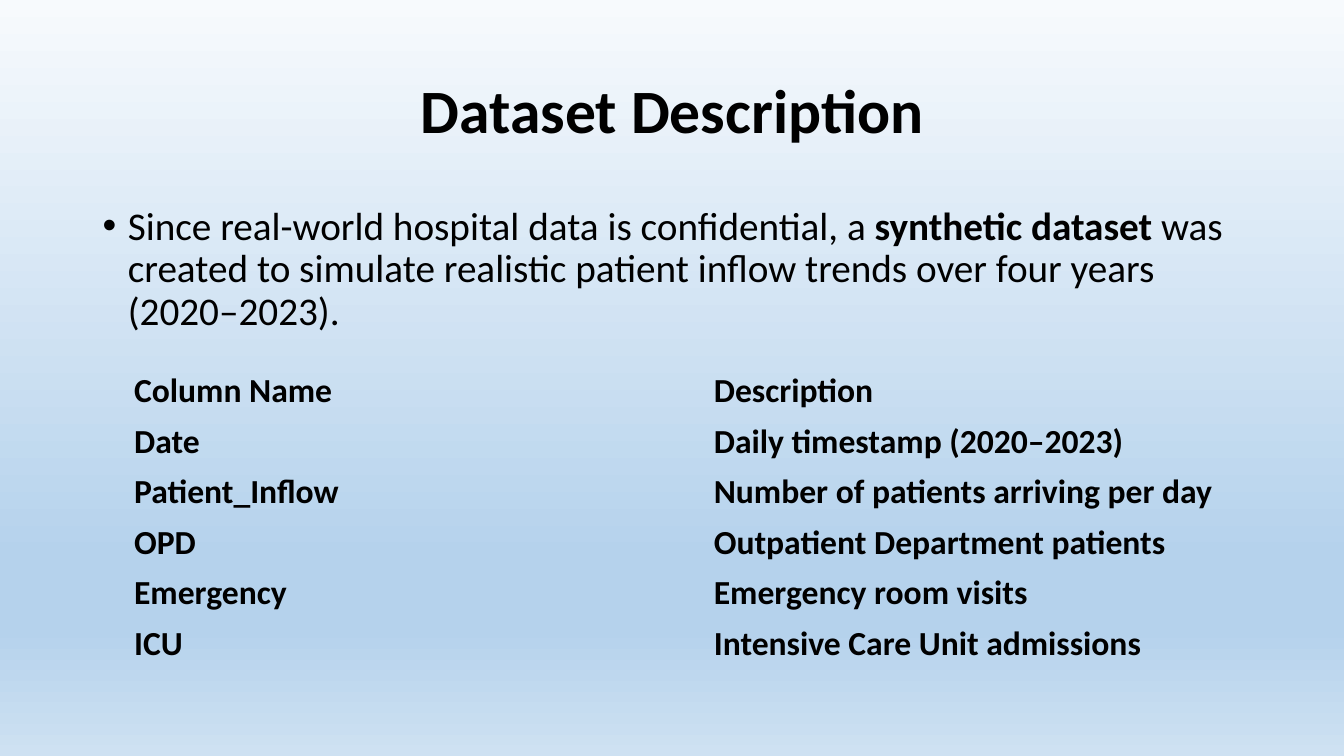
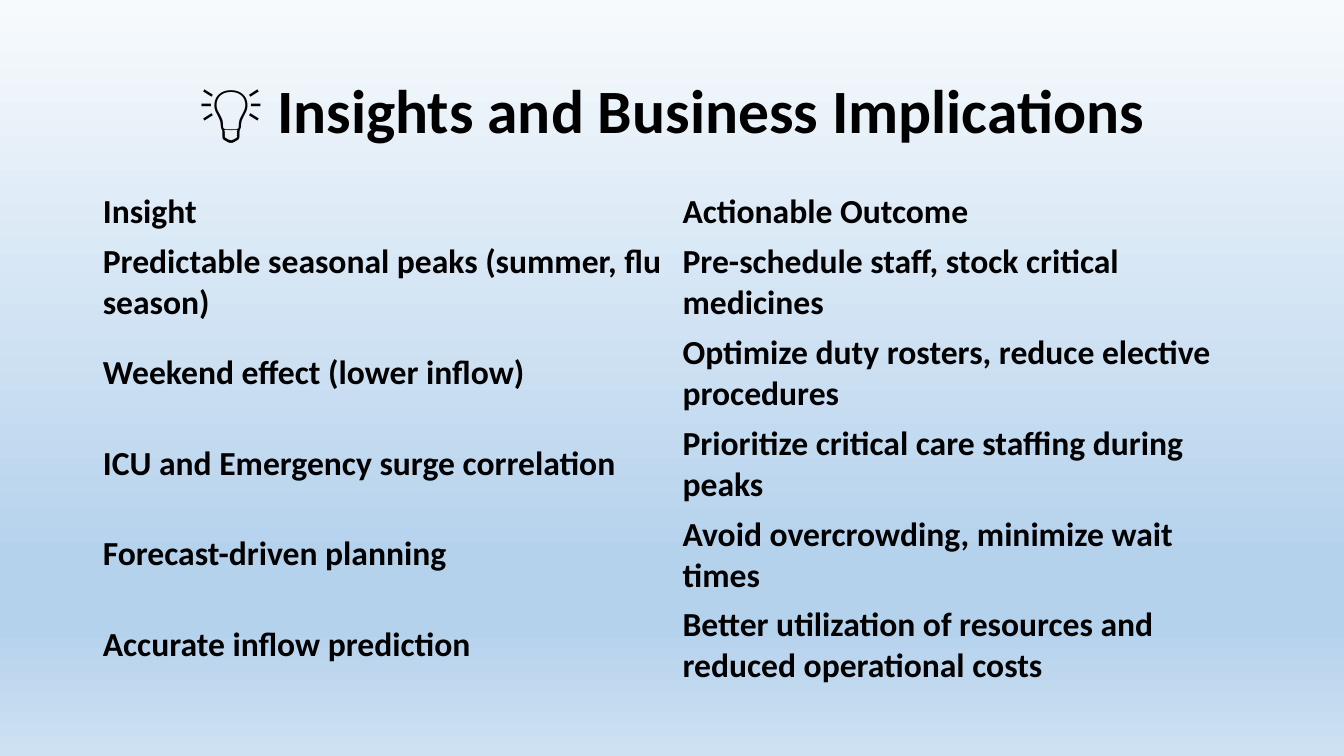
from dataclasses import dataclass

from lxml import etree
from pptx import Presentation
from pptx.dml.color import RGBColor
from pptx.enum.text import MSO_ANCHOR, PP_ALIGN
from pptx.oxml.ns import qn
from pptx.presentation import Presentation as Deck
from pptx.slide import Slide, SlideMaster
from pptx.text.text import _Paragraph as Paragraph
from pptx.util import Inches, Pt

MIDDLE, TOP = MSO_ANCHOR.MIDDLE, MSO_ANCHOR.TOP
CENTER, LEFT = PP_ALIGN.CENTER, PP_ALIGN.LEFT
BLANK_LAYOUT = 6
PLAIN_TABLE_STYLE = "{2D5ABB26-0587-4C30-8999-92F81FD0307C}"


@dataclass(frozen=True)
class Theme:
    font: str = "Calibri"
    ink: RGBColor = RGBColor(0, 0, 0)
    title_size: int = 44
    body_size: int = 28
    table_size: int = 24
    line_spacing: float = 0.9
    gradient: tuple[tuple[int, str], ...] = (
        (0, "F7FAFD"), (74, "B5D2EC"), (83, "B5D2EC"), (100, "CEE1F2"))


@dataclass(frozen=True)
class Area:
    left: float
    top: float
    width: float
    height: float

    def lengths(self) -> tuple[int, ...]:
        return tuple(Inches(v) for v in (self.left, self.top, self.width, self.height))


@dataclass(frozen=True)
class Span:
    text: str
    bold: bool = False


@dataclass(frozen=True)
class TextTable:
    left: float
    top: float
    lines_per_row: int
    rows: tuple[tuple[str, str], ...]


THEME = Theme()
SLIDE_WIDTH, SLIDE_HEIGHT = 13.33, 7.5
MARGIN, CONTENT_WIDTH = 0.92, 11.5
TITLE_AREA = Area(MARGIN, 0.4, CONTENT_WIDTH, 1.45)
BODY_AREA = Area(MARGIN, 2, CONTENT_WIDTH, 4.76)
BULLET_INDENT = 0.25
LINE_HEIGHT, CELL_PADDING = 0.4, 0.1

DATASET_TITLE = (Span("Dataset Description", True),)
DATASET_INTRO = (
    Span("Since real-world hospital data is confidential, a "),
    Span("synthetic dataset", True),
    Span(" was created to simulate realistic patient inflow trends "
         "over four years (2020–2023)."),
)
DATASET_COLUMNS = TextTable(1.23, 3.63, 1, (
    ("Column Name", "Description"),
    ("Date", "Daily timestamp (2020–2023)"),
    ("Patient_Inflow", "Number of patients arriving per day"),
    ("OPD", "Outpatient Department patients"),
    ("Emergency", "Emergency room visits"),
    ("ICU", "Intensive Care Unit admissions"),
))
INSIGHTS_TITLE = (Span("💡 "), Span("Insights and Business Implications", True))
INSIGHTS = TextTable(MARGIN, 1.85, 2, (
    ("Insight", "Actionable Outcome"),
    ("Predictable seasonal peaks (summer, flu season)",
     "Pre-schedule staff, stock critical medicines"),
    ("Weekend effect (lower inflow)",
     "Optimize duty rosters, reduce elective procedures"),
    ("ICU and Emergency surge correlation",
     "Prioritize critical care staffing during peaks"),
    ("Forecast-driven planning", "Avoid overcrowding, minimize wait times"),
    ("Accurate inflow prediction",
     "Better utilization of resources and reduced operational costs"),
))


def paint_background(master: SlideMaster) -> None:
    """Give every slide the theme's top-to-bottom gradient."""
    fill = master.background.fill
    fill.gradient()
    fill.gradient_angle = 270
    stops = next(master.element.iter(qn("a:gsLst")))
    for stop in list(stops):
        stops.remove(stop)
    for percent, color in THEME.gradient:
        stop = etree.SubElement(stops, qn("a:gs"), pos=str(percent * 1000))
        etree.SubElement(stop, qn("a:srgbClr"), val=color)


def style_font(para: Paragraph, size: int) -> None:
    font = para.font
    font.name, font.size = THEME.font, Pt(size)
    font.color.rgb = THEME.ink


def add_text(slide: Slide, area: Area, spans: tuple[Span, ...], size: int,
             anchor: MSO_ANCHOR, align: PP_ALIGN) -> Paragraph:
    frame = slide.shapes.add_textbox(*area.lengths()).text_frame
    frame.word_wrap = True
    frame.vertical_anchor = anchor
    para = frame.paragraphs[0]
    para.alignment, para.line_spacing = align, THEME.line_spacing
    for span in spans:
        run = para.add_run()
        run.text, run.font.bold = span.text, span.bold
    return para


def add_title(slide: Slide, spans: tuple[Span, ...]) -> None:
    para = add_text(slide, TITLE_AREA, spans, THEME.title_size, MIDDLE, CENTER)
    style_font(para, THEME.title_size)


def add_bullet(slide: Slide, spans: tuple[Span, ...]) -> None:
    para = add_text(slide, BODY_AREA, spans, THEME.body_size, TOP, LEFT)
    properties = para._p.get_or_add_pPr()
    properties.set("marL", str(Inches(BULLET_INDENT)))
    properties.set("indent", str(-Inches(BULLET_INDENT)))
    etree.SubElement(properties, qn("a:buFont"), typeface="Arial")
    etree.SubElement(properties, qn("a:buChar"), char="•")
    style_font(para, THEME.body_size)


def add_text_table(slide: Slide, content: TextTable) -> None:
    """Add an unruled table whose header row takes a single line."""
    heights = [lines * LINE_HEIGHT + CELL_PADDING
               for lines in (1, *[content.lines_per_row] * (len(content.rows) - 1))]
    area = Area(content.left, content.top, CONTENT_WIDTH, sum(heights))
    table = slide.shapes.add_table(
        len(content.rows), len(content.rows[0]), *area.lengths()).table
    table.first_row = table.horz_banding = False
    next(table._tbl.iter(qn("a:tableStyleId"))).text = PLAIN_TABLE_STYLE
    for row, height, texts in zip(table.rows, heights, content.rows):
        row.height = Inches(height)
        for cell, text in zip(row.cells, texts):
            cell.text = text
            cell.fill.background()
            cell.vertical_anchor = MIDDLE
            para = cell.text_frame.paragraphs[0]
            style_font(para, THEME.table_size)
            para.font.bold = True


def add_slide(deck: Deck, title: tuple[Span, ...]) -> Slide:
    slide = deck.slides.add_slide(deck.slide_layouts[BLANK_LAYOUT])
    add_title(slide, title)
    return slide


def main() -> None:
    deck = Presentation()
    deck.slide_width, deck.slide_height = Inches(SLIDE_WIDTH), Inches(SLIDE_HEIGHT)
    paint_background(deck.slide_master)

    dataset = add_slide(deck, DATASET_TITLE)
    add_bullet(dataset, DATASET_INTRO)
    add_text_table(dataset, DATASET_COLUMNS)

    insights = add_slide(deck, INSIGHTS_TITLE)
    add_text_table(insights, INSIGHTS)

    deck.save("out.pptx")


if __name__ == "__main__":
    main()
